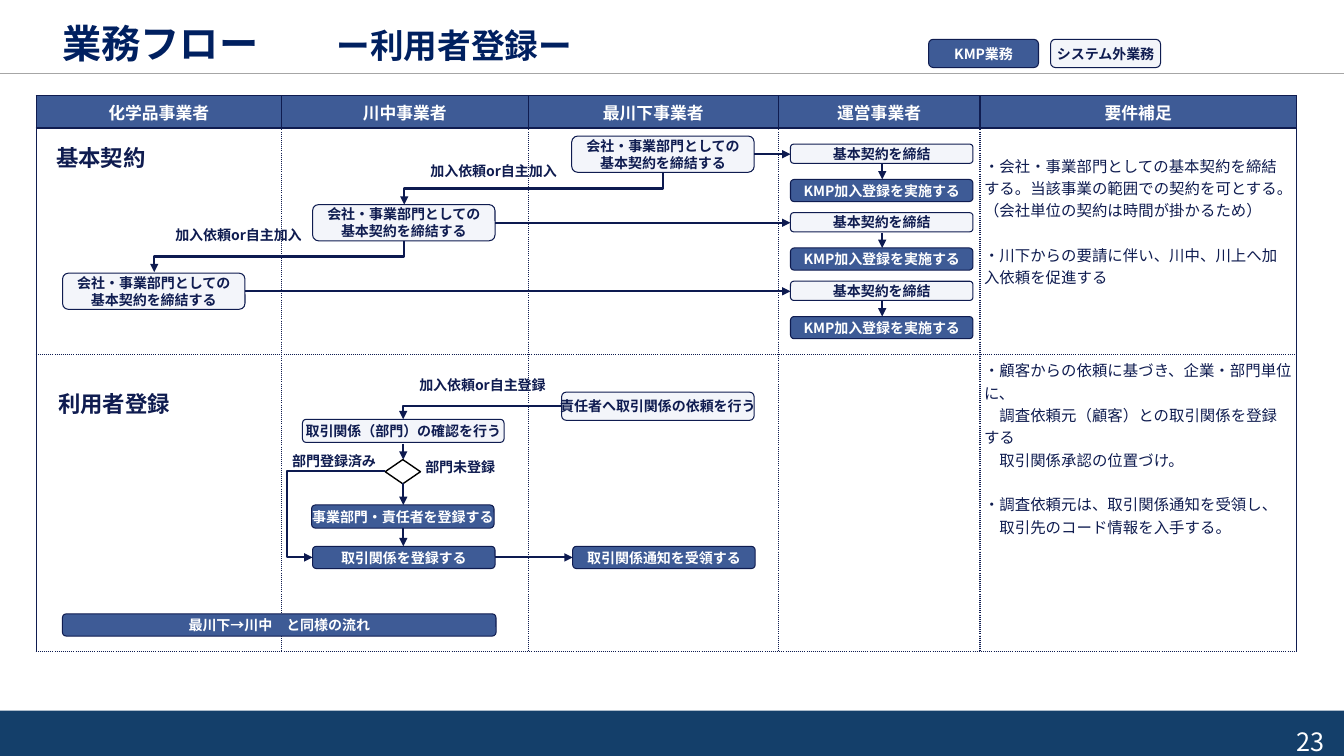
from dataclasses import dataclass

from lxml.etree import SubElement
from pptx import Presentation
from pptx.dml.color import RGBColor
from pptx.enum.shapes import MSO_CONNECTOR, MSO_SHAPE
from pptx.enum.text import MSO_ANCHOR, MSO_AUTO_SIZE, PP_ALIGN
from pptx.oxml.ns import qn
from pptx.util import Inches, Pt

COLORS = {
    "navy": "0F1C50", "arrow": "0D1A50", "title": "002060", "system": "3E5B96",
    "outside": "F3F5FA", "footer": "143F6A", "rule": "A6A6A6",
    "white": "FFFFFF", "black": "000000",
}
FONT = "Noto Sans CJK JP"
HEADER_FONT = "TeX Gyre Adventor"
CONTRACT = "会社・事業部門としての\v基本契約を締結する"
HEADERS = ["化学品事業者", "川中事業者", "最川下事業者", "運営事業者", "要件補足"]
COLUMN_WIDTHS = [2.43, 2.45, 2.48, 2, 3.14]
ROW_HEIGHTS = [0.32, 2.25, 2.94]
NOTES = {
    1: ["・会社・事業部門としての基本契約を締結する。当該事業の範囲での契約を可とする。（会社単位の契約は時間が掛かるため）",
        "・川下からの要請に伴い、川中、川上へ加入依頼を促進する"],
    2: ["・顧客からの依頼に基づき、企業・部門単位に、\v　調査依頼元（顧客）との取引関係を登録する",
        "　取引関係承認の位置づけ。",
        "・調査依頼元は、取引関係通知を受領し、",
        "　取引先のコード情報を入手する。"],
}
STEP_PITCH = 0.68


@dataclass
class Step:
    text: str
    left: float
    top: float
    width: float = 1.81
    height: float = 0.22
    system: bool = False


@dataclass
class Label:
    text: str
    left: float
    top: float
    width: float
    height: float = 0.27
    size: float = 10


@dataclass
class Arrow:
    start: tuple[float, float]
    end: tuple[float, float]
    preset: str = "line"
    bend: int | None = None
    vertical: bool = False


STEPS = [
    Step("KMP業務", 9.21, 0.39, 1.09, 0.28, True),
    Step("システム外業務", 10.42, 0.39, 1.09, 0.28),
    Step("責任者へ取引関係の依頼を行う", 5.57, 3.89, 1.91, 0.28),
    Step("取引関係（部門）の確認を行う", 3, 4.16, 2, 0.23),
    Step("事業部門・責任者を登録する", 3.09, 5.01, height=0.23, system=True),
    Step("取引関係を登録する", 3.1, 5.42, system=True),
    Step("取引関係通知を受領する", 5.68, 5.42, system=True),
    Step("最川下→川中　と同様の流れ", 0.62, 6.09, 4.3, system=True),
]
ARROWS = [
    Arrow((6.58, 1.71), (4.01, 2.03), "bentConnector3", 50000, True),
    Arrow((4.01, 2.39), (1.53, 2.7), "bentConnector3", 50000, True),
    Arrow((5.57, 4.03), (4, 4.16), "bentConnector2"),
    Arrow((3.82, 4.67), (3.1, 5.53), "bentConnector3", 134700),
    Arrow((4, 4.4), (4, 4.56)),
    Arrow((4, 4.79), (4, 5.01)),
    Arrow((4, 5.24), (4, 5.42)),
    Arrow((4.91, 5.53), (5.68, 5.53)),
]
for row, left in enumerate([5.67, 3.1, 0.62]):
    offset = row * STEP_PITCH
    STEPS += [
        Step(CONTRACT, left, 1.35 + offset, height=0.36),
        Step("基本契約を締結", 7.84, 1.43 + offset, height=0.19),
        Step("KMP加入登録を実施する", 7.84, 1.78 + offset, system=True),
    ]
    ARROWS += [
        Arrow((left + 1.81, 1.53 + offset), (7.84, 1.53 + offset)),
        Arrow((8.75, 1.63 + offset), (8.75, 1.78 + offset)),
    ]
LABELS = [
    Label("基本契約", 0.46, 1.38, 2.28, 0.37, 16),
    Label("利用者登録", 0.48, 3.82, 2.28, 0.37, 16),
    Label("加入依頼or自主加入", 4.17, 1.56, 1.59),
    Label("加入依頼or自主加入", 1.64, 2.2, 1.59),
    Label("加入依頼or自主登録", 4.06, 3.69, 1.59),
    Label("部門未登録", 4.12, 4.5, 1.06),
    Label("部門登録済み", 2.8, 4.44, 1.06),
]


def color(name: str) -> RGBColor:
    return RGBColor.from_string(COLORS[name])


def format_run(run, size: float, ink: str, bold: bool = True, latin: str = FONT) -> None:
    run.font.size, run.font.bold, run.font.name = Pt(size), bold, latin
    run.font.color.rgb = color(ink)
    SubElement(run._r.get_or_add_rPr(), qn("a:ea"), typeface=FONT)


def write(paragraph, text: str, size: float, ink: str, align=PP_ALIGN.LEFT,
          bold: bool = True, latin: str = FONT) -> None:
    paragraph.text = text
    paragraph.alignment = align
    for run in paragraph.runs:
        format_run(run, size, ink, bold, latin)


def add_box(slide, kind, left: float, top: float, width: float, height: float,
            fill: str, line: str | None = None, line_width: float = 0.75):
    shape = slide.shapes.add_shape(kind, Inches(left), Inches(top), Inches(width), Inches(height))
    shape.shadow.inherit = False
    shape.fill.solid()
    shape.fill.fore_color.rgb = color(fill)
    if line:
        shape.line.color.rgb = color(line)
        shape.line.width = Pt(line_width)
    else:
        shape.line.fill.background()
    return shape


def add_step(slide, step: Step) -> None:
    shape = add_box(slide, MSO_SHAPE.ROUNDED_RECTANGLE, step.left, step.top, step.width,
                    step.height, "system" if step.system else "outside", "navy")
    shape.text_frame.word_wrap = False
    shape.text_frame.vertical_anchor = MSO_ANCHOR.MIDDLE
    write(shape.text_frame.paragraphs[0], step.text, 10,
          "white" if step.system else "navy", PP_ALIGN.CENTER)


def add_label(slide, label: Label, ink: str = "navy", align=PP_ALIGN.LEFT, bold: bool = True):
    box = slide.shapes.add_textbox(Inches(label.left), Inches(label.top),
                                   Inches(label.width), Inches(label.height))
    box.text_frame.word_wrap = True
    box.text_frame.auto_size = MSO_AUTO_SIZE.SHAPE_TO_FIT_TEXT
    write(box.text_frame.paragraphs[0], label.text, label.size, ink, align, bold)
    return box.text_frame


def add_line(slide, start: tuple, end: tuple, ink: str, width: float):
    connector = slide.shapes.add_connector(
        MSO_CONNECTOR.STRAIGHT, *(Inches(value) for value in (*start, *end)))
    connector.line.color.rgb = color(ink)
    connector.line.width = Pt(width)
    SubElement(connector._element.spPr, qn("a:effectLst"))
    return connector


def add_arrow(slide, arrow: Arrow) -> None:
    (x1, y1), (x2, y2) = start, end = arrow.start, arrow.end
    if arrow.vertical:
        middle_x, middle_y = (x1 + x2) / 2, (y1 + y2) / 2
        half_width, half_height = (y2 - y1) / 2, (x1 - x2) / 2
        start = (middle_x - half_width, middle_y - half_height)
        end = (middle_x + half_width, middle_y + half_height)
    connector = add_line(slide, start, end, "arrow", 1.5)
    properties = connector._element.spPr
    SubElement(properties.find(qn("a:ln")), qn("a:tailEnd"), type="triangle")
    geometry = properties.find(qn("a:prstGeom"))
    geometry.set("prst", arrow.preset)
    if arrow.vertical:
        properties.find(qn("a:xfrm")).set("rot", "5400000")
    if arrow.bend is not None:
        SubElement(geometry.find(qn("a:avLst")), qn("a:gd"), name="adj1", fmla=f"val {arrow.bend}")


def set_borders(cell, solid_sides: str) -> None:
    properties = cell._tc.get_or_add_tcPr()
    for side in "LRTB":
        line = SubElement(properties, qn(f"a:ln{side}"), w=str(Pt(1)))
        SubElement(SubElement(line, qn("a:solidFill")), qn("a:srgbClr"), val=COLORS["navy"])
        SubElement(line, qn("a:prstDash"), val="solid" if side in solid_sides else "sysDot")


def add_lanes(slide) -> None:
    frame = slide.shapes.add_table(3, 5, Inches(0.36), Inches(0.95), Inches(12.5), Inches(5.51))
    table = frame.table
    table.first_row = table.horz_banding = False
    for column, width in zip(table.columns, COLUMN_WIDTHS):
        column.width = Inches(width)
    for row, height in zip(table.rows, ROW_HEIGHTS):
        row.height = Inches(height)
    for row in range(3):
        for column, header in enumerate(HEADERS):
            cell = table.cell(row, column)
            cell.margin_left = cell.margin_right = Inches(0.04)
            cell.margin_top = cell.margin_bottom = Inches(0.04)
            if row == 0:
                set_borders(cell, "LRTB")
                cell.fill.solid()
                cell.fill.fore_color.rgb = color("system")
                cell.vertical_anchor = MSO_ANCHOR.MIDDLE
                write(cell.text_frame.paragraphs[0], header, 12, "white", PP_ALIGN.CENTER,
                      latin=HEADER_FONT if column else FONT)
            else:
                set_borders(cell, {0: "L", 4: "R"}.get(column, "") + ("T" if row == 1 else ""))
                cell.fill.background()
    for row, texts in NOTES.items():
        cell = table.cell(row, 4)
        cell.margin_top = Inches(0.26 if row == 1 else 0.04)
        cell.text_frame.text = "\n".join(texts)
        for index, (paragraph, text) in enumerate(zip(cell.text_frame.paragraphs, texts)):
            write(paragraph, text, 11, "navy", bold=False)
            if index == row:
                paragraph.space_before = Pt(16)


def add_title(slide) -> None:
    text_frame = add_label(slide, Label("業務フロー\t", 0.13, 0.14, 10.42, 0.57, 28), "title")
    text_frame.margin_left = Inches(0.49)
    paragraph = text_frame.paragraphs[0]
    subtitle = paragraph.add_run()
    subtitle.text = "ー利用者登録ー"
    format_run(subtitle, 24, "title")
    tabs = SubElement(paragraph._p.get_or_add_pPr(), qn("a:tabLst"))
    SubElement(tabs, qn("a:tab"), pos=str(Inches(2.72)), algn="l")


def main() -> None:
    presentation = Presentation()
    presentation.slide_width, presentation.slide_height = Inches(13.33), Inches(7.5)
    slide = presentation.slides.add_slide(presentation.slide_layouts[6])
    add_line(slide, (0, 0.73), (13.33, 0.73), "rule", 0.5)
    add_box(slide, MSO_SHAPE.RECTANGLE, 0, 7.05, 13.33, 0.45, "footer")
    page = add_label(slide, Label("23", 11.98, 7.21, 1.16, 0.19, 18), "white", PP_ALIGN.RIGHT, False)
    page.auto_size = MSO_AUTO_SIZE.NONE
    page.margin_left = page.margin_right = page.margin_top = page.margin_bottom = 0
    add_title(slide)
    add_lanes(slide)
    for step in STEPS:
        add_step(slide, step)
    add_box(slide, MSO_SHAPE.DIAMOND, 3.82, 4.56, 0.35, 0.24, "white", "black", 1)
    for arrow in ARROWS:
        add_arrow(slide, arrow)
    for label in LABELS:
        add_label(slide, label)
    presentation.save("out.pptx")


if __name__ == "__main__":
    main()
